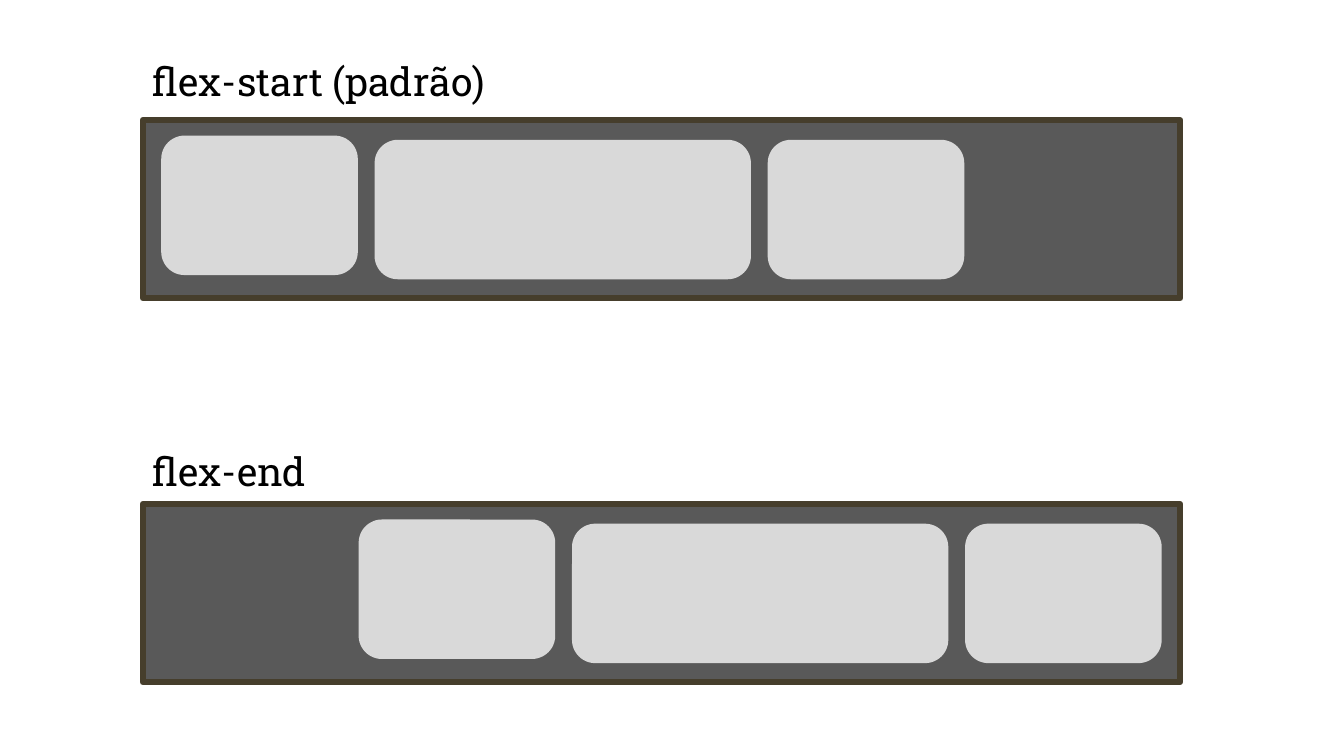
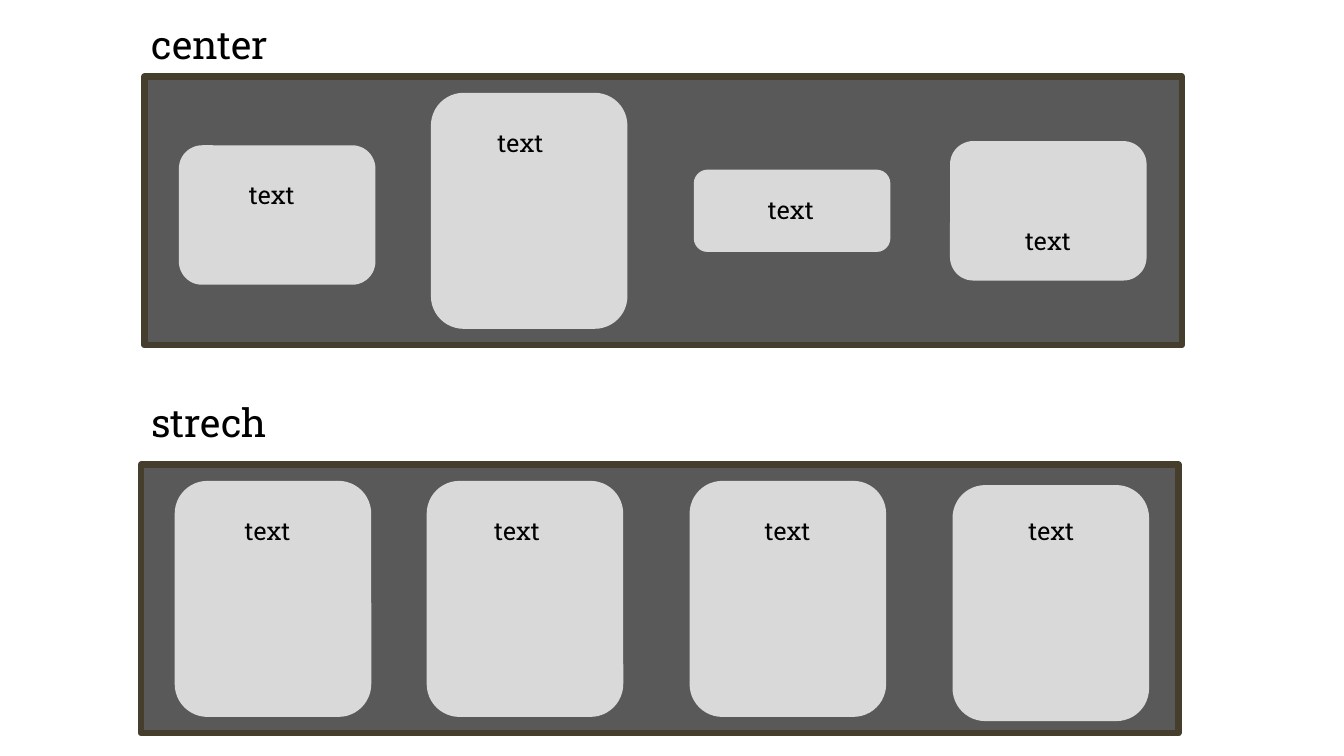
import dataclasses

import lxml.etree
import pptx
import pptx.dml.color
import pptx.enum.shapes
import pptx.enum.text
import pptx.oxml.ns
import pptx.util

SLIDE_W, SLIDE_H = pptx.util.Inches(13.33), pptx.util.Inches(7.5)
COLS, ROWS = 160, 90
ITEM_W, ITEM_H, WIDE_W, TALL_H, SHORT_H = 23.4, 16.6, 44.8, 28.1, 9.8
PAD, GAP, NUDGE = 2.2, 2, 0.5
TAG_W, TAG_H, HEADING_H = 12.7, 4.8, 6.8


@dataclasses.dataclass(frozen=True)
class Theme:
    font: str = "Roboto Slab"
    ink: str = "000000"
    panel: str = "595959"
    border: str = "463E2C"
    item: str = "D9D9D9"
    heading_size: float = 28
    tag_size: float = 18
    border_width: float = 4.5


@dataclasses.dataclass(frozen=True)
class Box:
    x: float
    y: float
    w: float
    h: float

    def inner(self, x, y, w, h):
        return Box(self.x + x, self.y + y, w, h)

    def emu(self):
        cw, rh = SLIDE_W / COLS, SLIDE_H / ROWS
        return [round(v) for v in (self.x * cw, self.y * rh, self.w * cw, self.h * rh)]


THEME = Theme()
SHAPE = pptx.enum.shapes.MSO_SHAPE
ALIGN = pptx.enum.text.PP_ALIGN


def rgb(value):
    return pptx.dml.color.RGBColor.from_string(value)


def write(tf, text, size=THEME.tag_size, align=ALIGN.LEFT, bullet=True):
    tf.word_wrap = True
    tf.auto_size = pptx.enum.text.MSO_AUTO_SIZE.NONE
    tf.vertical_anchor = pptx.enum.text.MSO_ANCHOR.TOP
    p = tf.paragraphs[0]
    p.alignment = align
    p.space_before = pptx.util.Pt(0)
    if not bullet:
        pPr = p._p.get_or_add_pPr()
        pPr.set("marL", "0")
        pPr.set("indent", "0")
        lxml.etree.SubElement(pPr, pptx.oxml.ns.qn("a:buNone"))
    r = p.add_run()
    r.text = text
    r.font.name = THEME.font
    r.font.size = pptx.util.Pt(size)
    r.font.color.rgb = rgb(THEME.ink)


def add_heading(ph, text, box):
    ph.left, ph.top, ph.width, ph.height = box.emu()
    write(ph.text_frame, text, size=THEME.heading_size, bullet=False)


def add_block(group, kind, box, fill):
    sp = group.shapes.add_shape(kind, *box.emu())
    sp.shadow.inherit = False
    sp.fill.solid()
    sp.fill.fore_color.rgb = rgb(fill)
    sp.line.fill.background()
    return sp


def add_panel(s, box, items, tags=()):
    group = s.shapes.add_group_shape()
    sp = add_block(group, SHAPE.RECTANGLE, box, THEME.panel)
    sp.line.color.rgb = rgb(THEME.border)
    sp.line.width = pptx.util.Pt(THEME.border_width)
    ln = sp._element.spPr.find(pptx.oxml.ns.qn("a:ln"))
    lxml.etree.SubElement(ln, pptx.oxml.ns.qn("a:round"))
    item_boxes = [box.inner(*item) for item in items]
    for item_box in item_boxes:
        add_block(group, SHAPE.ROUNDED_RECTANGLE, item_box, THEME.item)
    for item_box, (dx, dy) in zip(item_boxes, tags):
        tb = group.shapes.add_textbox(*item_box.inner(dx, dy, TAG_W, TAG_H).emu())
        write(tb.text_frame, "text", align=ALIGN.CENTER)


def justified(box, at_end):
    widths = (ITEM_W, WIDE_W, ITEM_W)
    used = sum(widths) + GAP * (len(widths) - 1)
    x = box.w - PAD - used if at_end else PAD
    items = []
    for i, w in enumerate(widths):
        items.append((x, 1.85 + (NUDGE if i else 0), w, ITEM_H))
        x += w + GAP
    return items


def centered(box, xs, heights, nudges):
    return [(x, (box.h - h) / 2 + dy, ITEM_W, h)
            for x, h, dy in zip(xs, heights, nudges)]


def add_slide(prs, headings):
    s = prs.slides.add_slide(prs.slide_layouts[1])
    for ph, (text, box) in zip(s.placeholders, headings):
        add_heading(ph, text, box)
    return s


def justify_slide(prs):
    s = add_slide(prs, [("flex-start (padrão)", Box(17, 6.2, 46.3, HEADING_H)),
                        ("flex-end", Box(17, 52.7, 29.3, HEADING_H))])
    for y, at_end in ((14.3, False), (60, True)):
        box = Box(17, y, 123.5, 21.2)
        add_panel(s, box, justified(box, at_end))


def align_slide(prs):
    s = add_slide(prs, [("center", Box(16.8, 1.8, 27.7, HEADING_H)),
                        ("strech", Box(16.8, 46.8, 41, HEADING_H))])
    center = Box(17.2, 9.1, 123.5, 32)
    add_panel(s, center,
              centered(center, (4.1, 34.1, 65.4, 95.9),
                       (ITEM_H, TALL_H, SHORT_H, ITEM_H), (NUDGE, 0, 0, 0)),
              [(4.7, 3.5), (4.3, 3.5), (5.2, 2.4), (5.3, 9.4)])
    stretch = Box(16.8, 55.3, 123.5, 32)
    add_panel(s, stretch,
              centered(stretch, (4, 34, 65.3, 96.6), (TALL_H,) * 4, (0, 0, 0, NUDGE)),
              [(4.7, 3.5), (4.4, 3.5), (5.3, 3.5), (5.4, 3)])


def main():
    prs = pptx.Presentation()
    prs.slide_width, prs.slide_height = SLIDE_W, SLIDE_H
    justify_slide(prs)
    align_slide(prs)
    prs.save("out.pptx")


if __name__ == "__main__":
    main()
